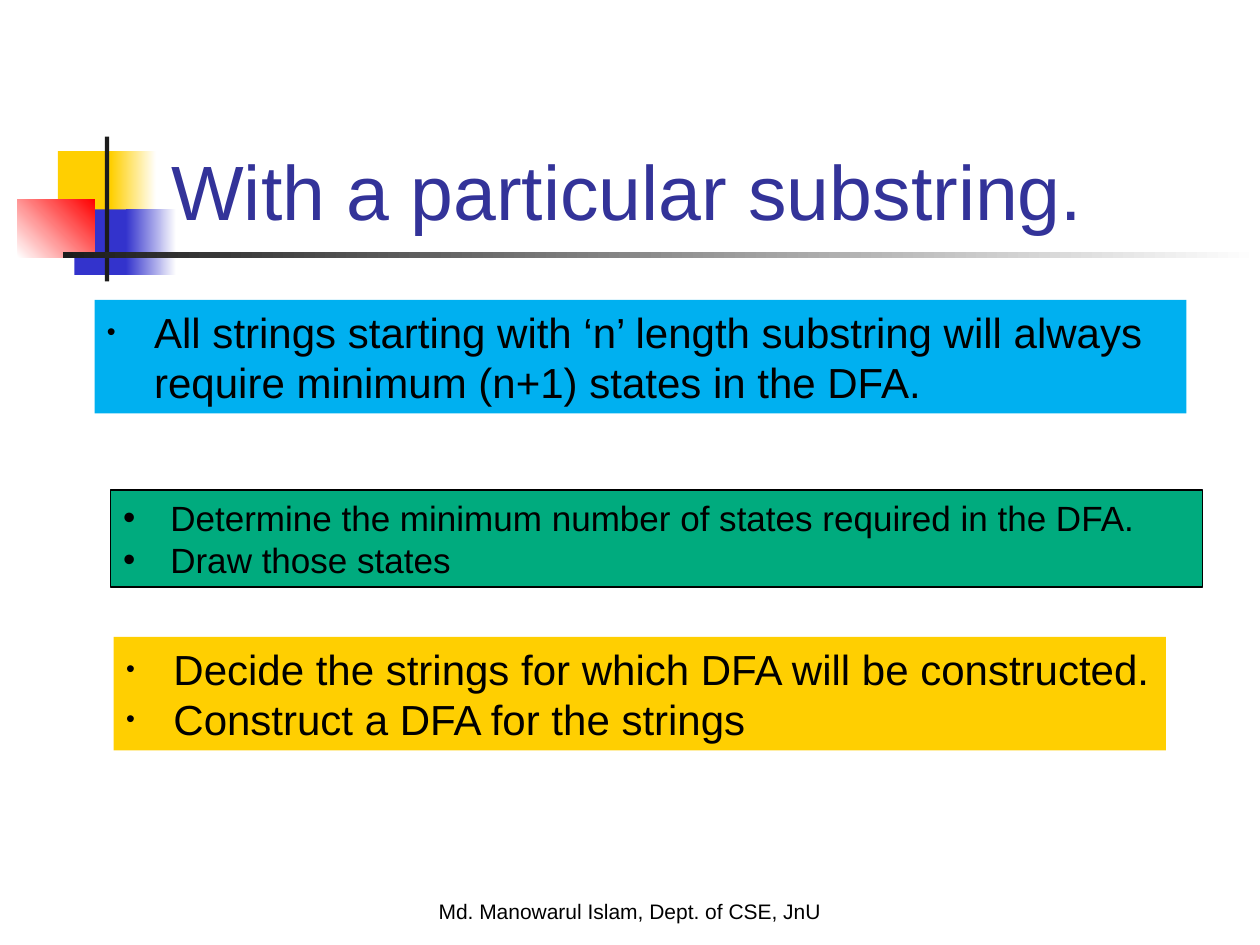
"""Build a slide on the states a DFA needs for strings with a particular substring."""

from dataclasses import dataclass
from typing import Optional

import lxml.etree
import pptx
import pptx.dml.color
import pptx.enum.shapes
import pptx.enum.text
import pptx.oxml.ns
import pptx.util

COLORS = {
    "white": "FFFFFF",
    "black": "000000",
    "yellow": "FFCF01",
    "blue": "3333CC",
    "red": "FF0000",
    "charcoal": "1C1C1C",
    "title": "333399",
    "green": "00AB7E",
    "sky": "00B0F0",
}
FONT = "Arial"
BULLET_INDENT = 27


@dataclass
class Block:
    left: float
    top: float
    width: float
    height: float
    start: str
    end: Optional[str] = None
    angle: float = 0


@dataclass
class Panel:
    block: Block
    lines: list[str]
    size: float
    bullet_percent: int = 100
    outline: Optional[str] = None
    wrap: bool = True


DECORATION = [
    Block(33.1, 86.4, 34.6, 37.4, "yellow"),
    Block(63.4, 86.4, 25.9, 37.4, "yellow", "white"),
    Block(42.5, 119.7, 33.1, 37.4, "blue"),
    Block(72, 119.7, 28.8, 37.4, "blue", "white"),
    Block(10, 113.8, 44.2, 33.4, "white", "red", 45),
    Block(59.9, 78, 2.5, 82.8, "charcoal"),
    Block(36, 144, 684, 3.5, "charcoal", "white"),
]
PANELS = [
    Panel(
        Block(63.2, 280, 624, 55.5, "green"),
        ["Determine the minimum number of states required in the DFA.", "Draw those states"],
        20,
        outline="black",
    ),
    Panel(
        Block(65, 364, 601.2, 64.8, "yellow"),
        ["Decide the strings for which DFA will be constructed.", "Construct a DFA for the strings"],
        24,
        bullet_percent=60,
        wrap=False,
    ),
    Panel(
        Block(54, 171.4, 624, 64.8, "sky"),
        ["All strings starting with ‘n’ length substring will always "
         "require minimum (n+1) states in the DFA."],
        24,
        bullet_percent=60,
    ),
]


def rgb(name: str) -> pptx.dml.color.RGBColor:
    """Return the named palette colour."""
    return pptx.dml.color.RGBColor.from_string(COLORS[name])


def style_paragraph(para, size: float, color: str, align=pptx.enum.text.PP_ALIGN.LEFT) -> None:
    """Set the alignment and font of a paragraph."""
    para.alignment = align
    para.font.name = FONT
    para.font.size = pptx.util.Pt(size)
    para.font.color.rgb = rgb(color)


def add_block(page, block: Block):
    """Draw a borderless rectangle with a solid or two-colour fill."""
    lengths = (block.left, block.top, block.width, block.height)
    shape = page.shapes.add_shape(
        pptx.enum.shapes.MSO_SHAPE.RECTANGLE, *map(pptx.util.Pt, lengths)
    )
    shape.shadow.inherit = False
    shape.line.fill.background()
    if block.end is None:
        shape.fill.solid()
        shape.fill.fore_color.rgb = rgb(block.start)
    else:
        shape.fill.gradient()
        shape.fill.gradient_angle = block.angle
        for stop, name in zip(shape.fill.gradient_stops, (block.start, block.end)):
            stop.color.rgb = rgb(name)
    return shape


def add_bullet(para, percent: int) -> None:
    """Give a paragraph a hanging black bullet."""
    properties = para._p.get_or_add_pPr()
    indent = pptx.util.Pt(BULLET_INDENT)
    properties.set("marL", str(indent))
    properties.set("indent", str(-indent))
    qn = pptx.oxml.ns.qn
    color = lxml.etree.SubElement(properties, qn("a:buClr"))
    lxml.etree.SubElement(color, qn("a:srgbClr"), val=COLORS["black"])
    lxml.etree.SubElement(properties, qn("a:buSzPct"), val=str(percent * 1000))
    lxml.etree.SubElement(properties, qn("a:buFont"), typeface=FONT)
    lxml.etree.SubElement(properties, qn("a:buChar"), char="•")


def add_panel(page, panel: Panel) -> None:
    """Draw a filled panel holding a bulleted list."""
    shape = add_block(page, panel.block)
    if panel.outline:
        shape.line.color.rgb = rgb(panel.outline)
        shape.line.width = pptx.util.Pt(0.75)
    frame = shape.text_frame
    frame.word_wrap = panel.wrap
    frame.vertical_anchor = pptx.enum.text.MSO_ANCHOR.TOP
    frame.text = "\n".join(panel.lines)
    for para in frame.paragraphs:
        add_bullet(para, panel.bullet_percent)
        style_paragraph(para, panel.size, "black")


def add_footer(page, text: str) -> None:
    """Write the centred footer across the page."""
    box = page.shapes.add_textbox(*map(pptx.util.Pt, (0, 509.8, 720, 21.6)))
    box.text_frame.word_wrap = True
    box.text_frame.text = text
    style_paragraph(box.text_frame.paragraphs[0], 12, "black", pptx.enum.text.PP_ALIGN.CENTER)


def place_title(page, text: str) -> None:
    """Fill the title placeholder and bring it in front of the decoration."""
    title = page.shapes.title
    title.left, title.top, title.width, title.height = map(
        pptx.util.Pt, (90.7, 48.2, 613.4, 90)
    )
    frame = title.text_frame
    frame.text = text
    frame.auto_size = pptx.enum.text.MSO_AUTO_SIZE.NONE
    frame.vertical_anchor = pptx.enum.text.MSO_ANCHOR.BOTTOM
    style_paragraph(frame.paragraphs[0], 44, "title")
    page.shapes.element.append(title.element)


def main() -> None:
    """Build and save the deck."""
    deck = pptx.Presentation()
    deck.slide_width, deck.slide_height = pptx.util.Pt(720), pptx.util.Pt(540)
    page = deck.slides.add_slide(deck.slide_layouts.get_by_name("Title Only"))
    for block in DECORATION:
        add_block(page, block)
    add_footer(page, "Md. Manowarul Islam, Dept. of CSE, JnU")
    place_title(page, "With a particular substring.")
    for panel in PANELS:
        add_panel(page, panel)
    deck.save("out.pptx")


if __name__ == "__main__":
    main()
